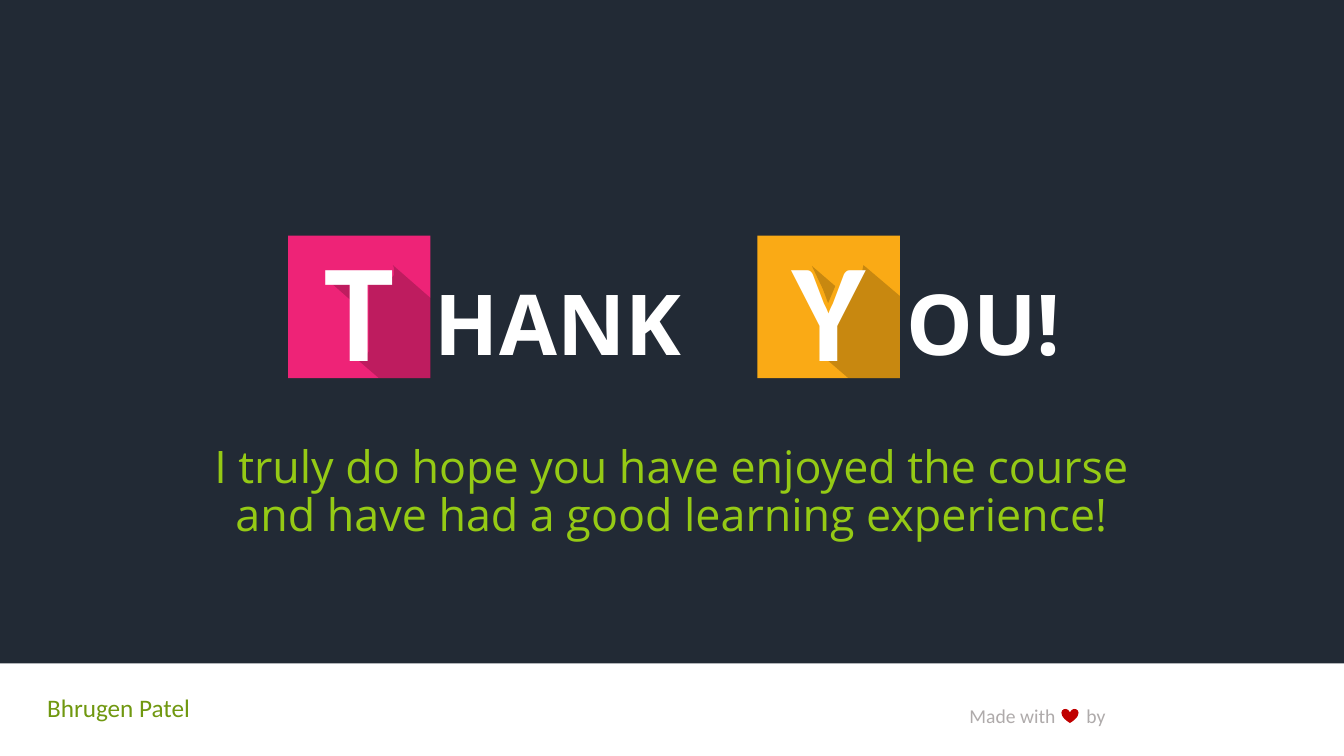
from dataclasses import dataclass

from pptx import Presentation
from pptx import util as u
from pptx.dml.color import RGBColor
from pptx.enum import shapes, text
from pptx.oxml import parse_xml
from pptx.oxml.ns import nsdecls
from pptx.shapes.autoshape import Shape
from pptx.slide import Slide

Outline = list[tuple[float, float]]


@dataclass(frozen=True)
class Theme:
    night: str = "222A35"
    white: str = "FFFFFF"
    black: str = "000000"
    pink: str = "EE2377"
    amber: str = "FAAA15"
    lime: str = "95CA15"
    olive: str = "709810"
    grey: str = "AFABAB"
    red: str = "C00000"
    display: str = "Open Sans"
    body: str = "Calibri"
    initial_size: float = 100
    word_size: float = 60
    message_size: float = 32
    author_size: float = 18
    credit_size: float = 14
    shade_alpha: int = 20


@dataclass(frozen=True)
class Word:
    initial: str
    rest: str
    left: float
    rest_left: float
    color: str
    shade: list[Outline]


THEME = Theme()
SLIDE_WIDTH, SLIDE_HEIGHT = 33.87, 19.05
FOOTER_TOP = 16.72
TILE_TOP, TILE = 5.94, 3.59
INITIAL_HEIGHT = 4.31
REST_TOP, REST_WIDTH, REST_HEIGHT = 6.85, 6.6, 2.9

WORDS = [
    Word("T", "HANK", 7.26, 10.96, THEME.pink, [
        [(0.97, 1.09), (1.55, 1.09), (1.55, 1.6)],
        [(2.64, 0.74), (TILE, 1.57), (TILE, TILE), (2.29, TILE),
         (1.57, 2.97), (1.98, 3), (2.03, 2.92), (2.03, 1.09),
         (2.59, 1.09), (2.67, 0.99), (2.67, 0.81)],
    ]),
    Word("Y", "OU!", 19.09, 22.84, THEME.amber, [
        [(1.37, 0.76), (1.96, 1.27), (1.78, 1.7), (1.65, 1.35)],
        [(2.67, 0.74), (TILE, 1.52), (TILE, TILE), (2.29, TILE),
         (1.57, 2.97), (1.96, 3), (2.01, 2.92), (2.01, 2.13),
         (2.64, 0.89)],
    ]),
]


def paint(shape: Shape, color: str) -> None:
    shape.shadow.inherit = False
    shape.fill.solid()
    shape.fill.fore_color.rgb = RGBColor.from_string(color)
    shape.line.fill.background()


def add_block(slide: Slide, kind: shapes.MSO_SHAPE, left: float, top: float,
              width: float, height: float, color: str) -> None:
    block = slide.shapes.add_shape(
        kind, u.Cm(left), u.Cm(top), u.Cm(width), u.Cm(height))
    paint(block, color)


def add_text(slide: Slide, wording: str, *, left: float, top: float,
             width: float, height: float, size: float, color: str,
             font: str = THEME.body, bold: bool = False,
             align: text.PP_ALIGN = text.PP_ALIGN.LEFT,
             anchor: text.MSO_ANCHOR = text.MSO_ANCHOR.TOP,
             spacing: float = 1.0, tab: float | None = None) -> None:
    box = slide.shapes.add_textbox(
        u.Cm(left), u.Cm(top), u.Cm(width), u.Cm(height))
    frame = box.text_frame
    frame.word_wrap = True
    frame.vertical_anchor = anchor
    frame.margin_left = frame.margin_right = 0
    frame.margin_top = frame.margin_bottom = 0
    paragraph = frame.paragraphs[0]
    paragraph.alignment = align
    paragraph.line_spacing = spacing
    if tab is not None:
        paragraph._p.get_or_add_pPr().append(parse_xml(
            f'<a:tabLst {nsdecls("a")}>'
            f'<a:tab pos="{u.Cm(tab)}" algn="l"/></a:tabLst>'))
    run = paragraph.add_run()
    run.text = wording
    run.font.name = font
    run.font.size = u.Pt(size)
    run.font.bold = bold
    run.font.color.rgb = RGBColor.from_string(color)


def add_shade(slide: Slide, outlines: list[Outline], left: float, top: float) -> None:
    contours = [[(u.Cm(x), u.Cm(y)) for x, y in outline] for outline in outlines]
    builder = slide.shapes.build_freeform(*contours[0][0])
    for contour in contours:
        builder.move_to(*contour[0])
        builder.add_line_segments(contour[1:], close=True)
    shade = builder.convert_to_shape(u.Cm(left), u.Cm(top))
    paint(shade, THEME.black)
    tint = shade.fill._xPr.find(".//{*}srgbClr")
    tint.append(parse_xml(
        f'<a:alpha {nsdecls("a")} val="{THEME.shade_alpha * 1000}"/>'))


def add_word(slide: Slide, word: Word) -> None:
    add_block(slide, shapes.MSO_SHAPE.RECTANGLE, word.left, TILE_TOP,
              TILE, TILE, word.color)
    add_shade(slide, word.shade, word.left, TILE_TOP)
    add_text(slide, word.initial, left=word.left,
             top=TILE_TOP + (TILE - INITIAL_HEIGHT) / 2,
             width=TILE, height=INITIAL_HEIGHT, size=THEME.initial_size,
             color=THEME.white, bold=True, align=text.PP_ALIGN.CENTER)
    add_text(slide, word.rest, left=word.rest_left, top=REST_TOP,
             width=REST_WIDTH, height=REST_HEIGHT, size=THEME.word_size,
             color=THEME.white, font=THEME.display, bold=True)


def main() -> None:
    deck = Presentation()
    deck.slide_width, deck.slide_height = u.Cm(SLIDE_WIDTH), u.Cm(SLIDE_HEIGHT)
    slide = deck.slides.add_slide(deck.slide_layouts[6])
    slide.background.fill.solid()
    slide.background.fill.fore_color.rgb = RGBColor.from_string(THEME.night)

    add_block(slide, shapes.MSO_SHAPE.RECTANGLE, 0, FOOTER_TOP, SLIDE_WIDTH,
              SLIDE_HEIGHT - FOOTER_TOP, THEME.white)
    add_text(slide, "Made with\tby", left=24.43, top=17.73, width=3.8,
             height=0.6, size=THEME.credit_size, color=THEME.grey, tab=2.95)
    add_block(slide, shapes.MSO_SHAPE.HEART, 26.75, 17.86, 0.43, 0.36, THEME.red)
    add_text(slide, "Bhrugen Patel", left=1.19, top=17.45, width=4.2,
             height=0.77, size=THEME.author_size, color=THEME.olive)

    for word in WORDS:
        add_word(slide, word)
    add_text(slide, "I truly do hope you have enjoyed the course and have had "
             "a good learning experience!", left=4.5, top=10.12, width=24.87,
             height=4.6, size=THEME.message_size, color=THEME.lime,
             font=THEME.display, align=text.PP_ALIGN.CENTER,
             anchor=text.MSO_ANCHOR.MIDDLE, spacing=0.9)

    deck.save("out.pptx")


if __name__ == "__main__":
    main()
